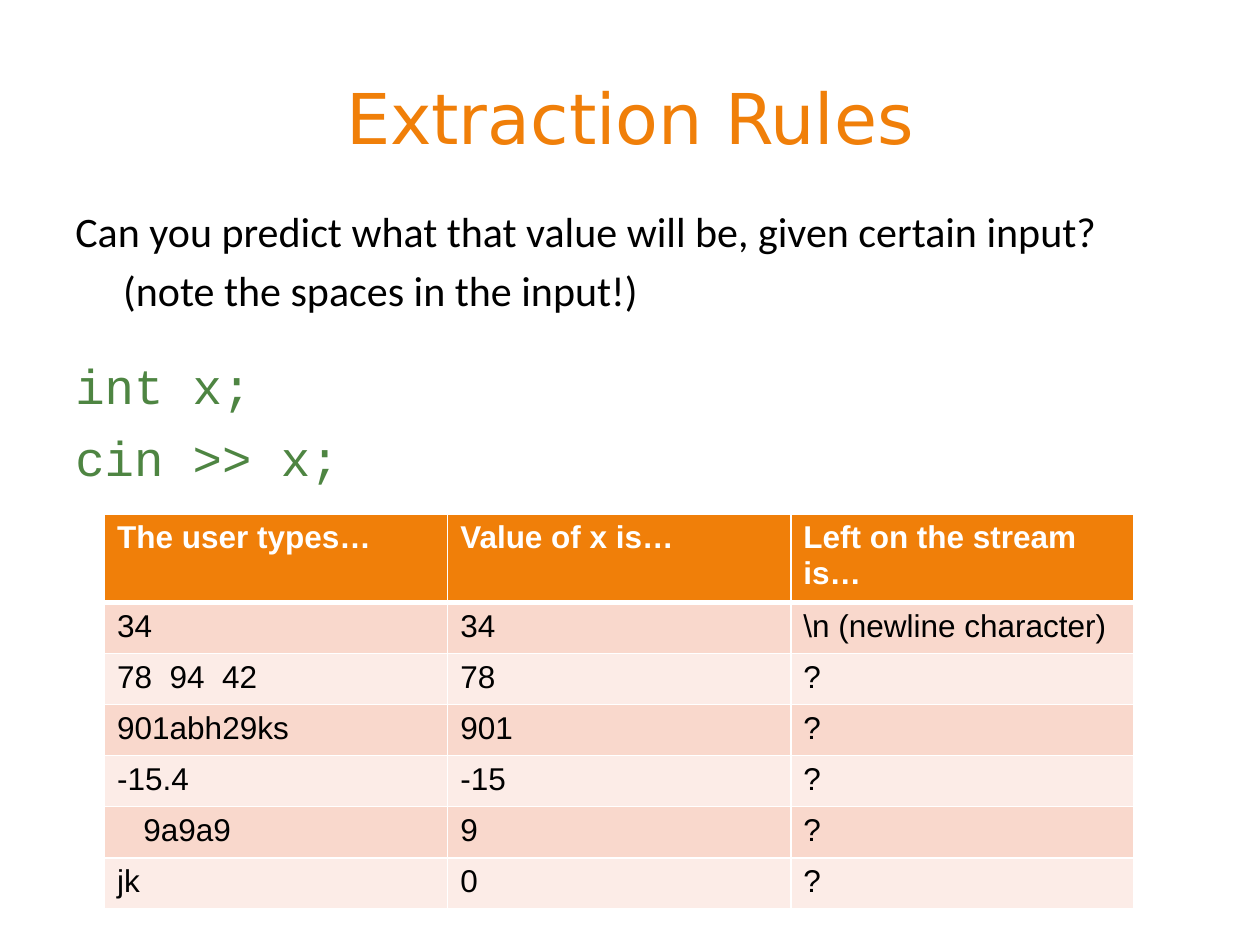
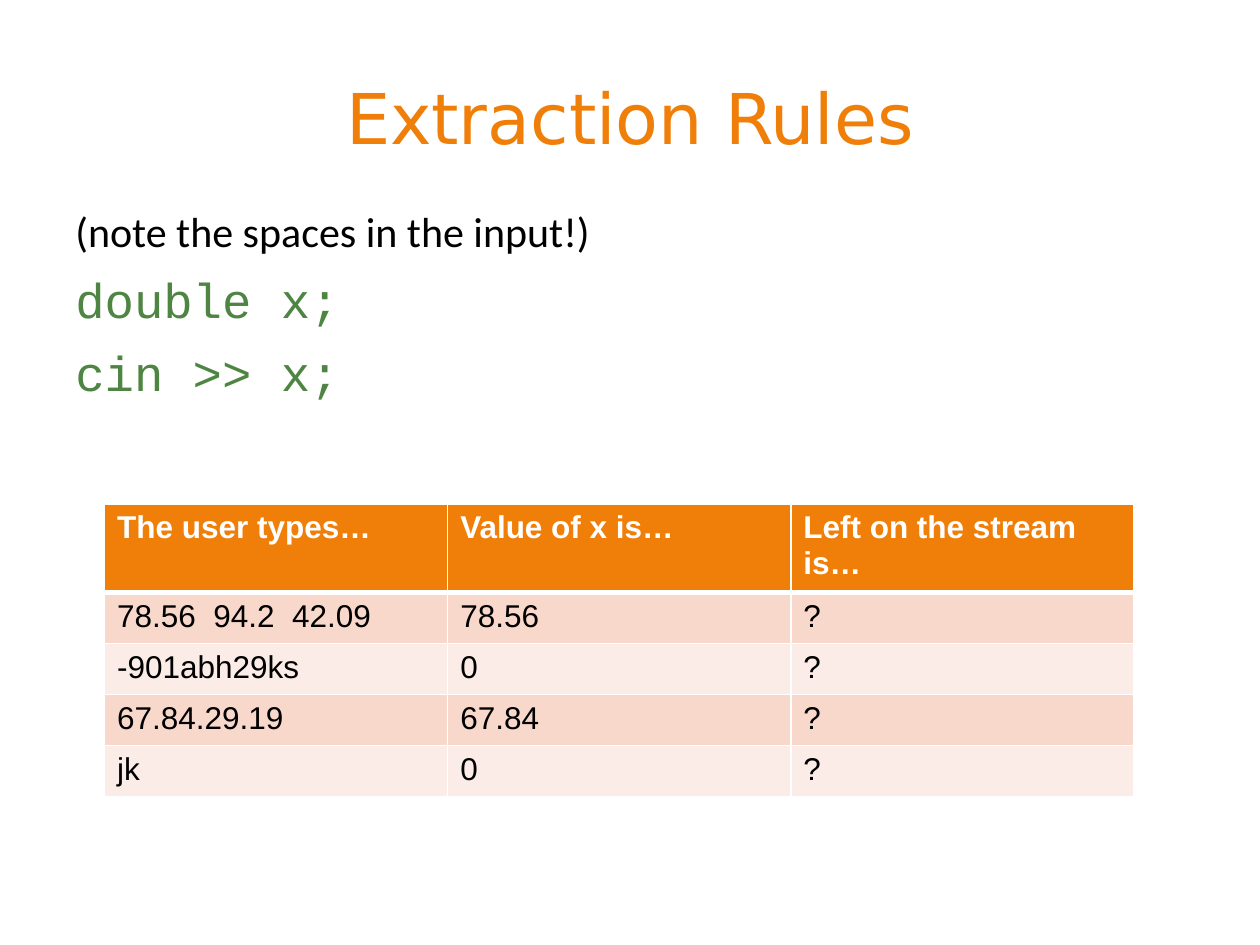
from lxml.etree import SubElement
from pptx import Presentation
from pptx.dml.color import RGBColor
from pptx.enum.text import MSO_ANCHOR, PP_ALIGN
from pptx.oxml.ns import qn
from pptx.util import Inches, Pt

ORANGE = RGBColor(0xF0, 0x7F, 0x09)
GREEN = RGBColor(0x4E, 0x85, 0x42)
BLACK = RGBColor(0x00, 0x00, 0x00)
WHITE = RGBColor(0xFF, 0xFF, 0xFF)
DARK_BAND = RGBColor(0xF9, 0xD8, 0xCC)
LIGHT_BAND = RGBColor(0xFC, 0xEC, 0xE7)

TITLE_BOX = (0.5, 0.3, 9, 1.25)
BODY_BOX = (0.5, 1.58, 9, 5.12)
NOTE = "(note the spaces in the input!)"
HEADINGS = ("The user types…", "Value of x is…", "Left on the stream is…")

INT_LINES = [
    ("Can you predict what that value will be, given certain input?", "text", 0, 0),
    (NOTE, "text", 5, 0.38),
    ("int x;", "code", 23, 0),
    ("cin >> x;", "code", 8, 0),
]
INT_ROWS = [
    ("34", "34", r"\n (newline character)"),
    ("78  94  42", "78", "?"),
    ("901abh29ks", "901", "?"),
    ("-15.4", "-15", "?"),
    ("   9a9a9", "9", "?"),
    ("jk", "0", "?"),
]
DOUBLE_LINES = [
    (NOTE, "text", 0, 0),
    ("double x;", "code", 8, 0),
    ("cin >> x;", "code", 8, 0),
]
DOUBLE_ROWS = [
    ("78.56  94.2  42.09", "78.56", "?"),
    ("-901abh29ks", "0", "?"),
    ("67.84.29.19", "67.84", "?"),
    ("jk", "0", "?"),
]
LINE_STYLES = {"text": ("Calibri", 24, BLACK), "code": ("Courier New", 28, GREEN)}


def set_font(paragraph, name, size, color, bold=False):
    """Set the font of a whole paragraph."""
    font = paragraph.font
    font.name, font.size, font.bold = name, Pt(size), bold
    font.color.rgb = color


def add_text_frame(slide, box):
    """Add a wrapping text box and return its text frame."""
    frame = slide.shapes.add_textbox(*map(Inches, box)).text_frame
    frame.word_wrap = True
    return frame


def add_title(slide, box, text):
    """Add the centred orange title."""
    frame = add_text_frame(slide, box)
    frame.vertical_anchor = MSO_ANCHOR.MIDDLE
    paragraph = frame.paragraphs[0]
    paragraph.text = text
    paragraph.alignment = PP_ALIGN.CENTER
    set_font(paragraph, "DejaVu Sans", 40, ORANGE)


def add_body(slide, box, lines):
    """Add the question and the code lines."""
    frame = add_text_frame(slide, box)
    for index, (text, style, space_before, indent) in enumerate(lines):
        paragraph = frame.add_paragraph() if index else frame.paragraphs[0]
        paragraph.text = text
        paragraph.space_before = Pt(space_before)
        if indent:
            paragraph._p.get_or_add_pPr().set("marL", str(Inches(indent)))
        set_font(paragraph, *LINE_STYLES[style])


def add_border(cell, side, width):
    """Draw a white border on one side of a cell."""
    line = SubElement(cell._tc.get_or_add_tcPr(), qn(f"a:ln{side}"), w=str(Pt(width)))
    fill = SubElement(line, qn("a:solidFill"))
    SubElement(fill, qn("a:srgbClr"), val=str(WHITE))


def add_input_table(slide, box, rows):
    """Add the table of typed input, value read and rest of the stream."""
    all_rows = [HEADINGS, *rows]
    table = slide.shapes.add_table(
        len(all_rows), len(HEADINGS), *map(Inches, box)
    ).table
    table.horz_banding = False
    for row_index, row in enumerate(all_rows):
        is_header = row_index == 0
        band = DARK_BAND if row_index % 2 else LIGHT_BAND
        for column_index, text in enumerate(row):
            cell = table.cell(row_index, column_index)
            for side in "LRTB":
                thick = (is_header and side == "B") or (row_index == 1 and side == "T")
                add_border(cell, side, 3 if thick else 1)
            cell.fill.solid()
            cell.fill.fore_color.rgb = ORANGE if is_header else band
            cell.text = text
            set_font(cell.text_frame.paragraphs[0], "Arial", 18,
                     WHITE if is_header else BLACK, is_header)


def add_rules_slide(presentation, lines, rows, table_box):
    """Add one slide on the extraction rules."""
    slide = presentation.slides.add_slide(presentation.slide_layouts[6])
    add_title(slide, TITLE_BOX, "Extraction Rules")
    add_body(slide, BODY_BOX, lines)
    add_input_table(slide, table_box, rows)


def main():
    """Build and save the presentation."""
    presentation = Presentation()
    presentation.slide_width = Inches(10)
    presentation.slide_height = Inches(7.5)
    add_rules_slide(presentation, INT_LINES, INT_ROWS, (0.83, 4.08, 8.17, 2.84))
    add_rules_slide(presentation, DOUBLE_LINES, DOUBLE_ROWS, (0.83, 4, 8.17, 2.03))
    presentation.save("out.pptx")


if __name__ == "__main__":
    main()
